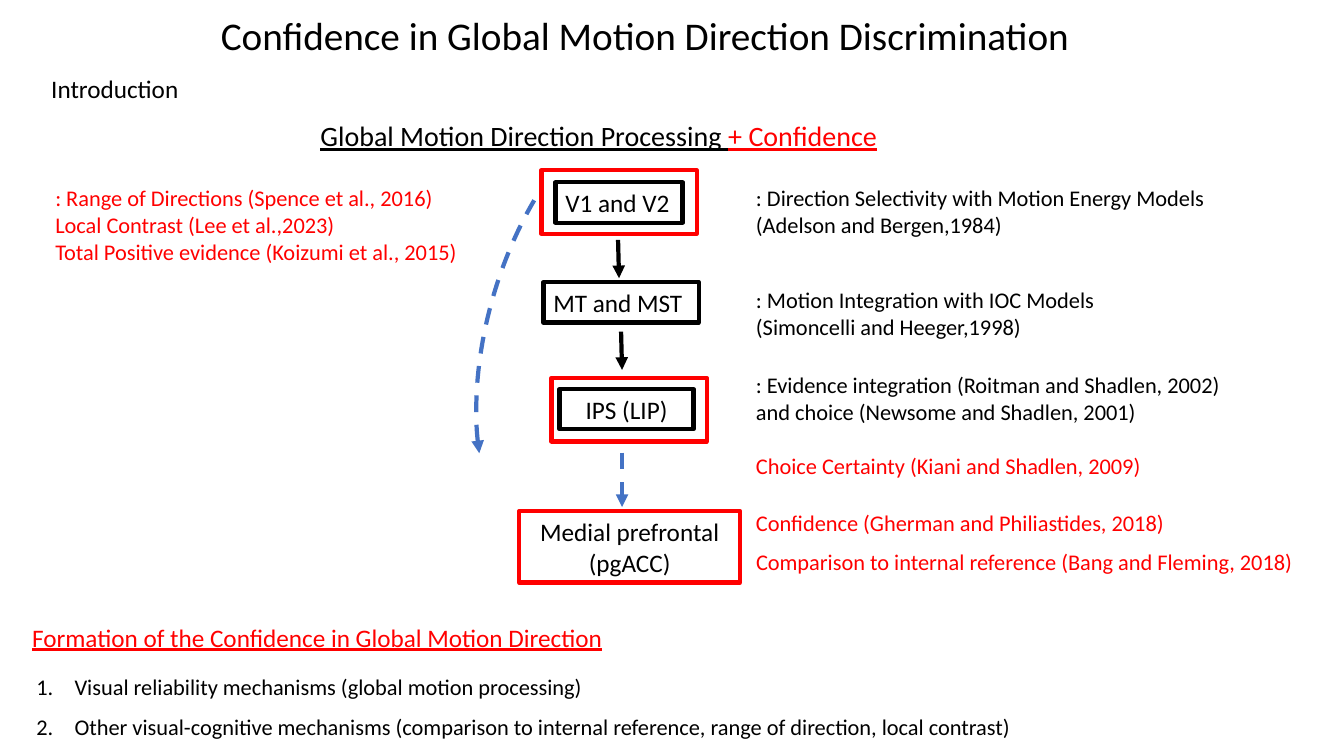
from lxml import etree
from pptx import Presentation
from pptx.dml.color import RGBColor
from pptx.enum.dml import MSO_LINE_DASH_STYLE as DASH
from pptx.enum.shapes import MSO_CONNECTOR as CONNECTOR, MSO_SHAPE as SHAPE
from pptx.enum.text import MSO_ANCHOR as ANCHOR, MSO_AUTO_SIZE as AUTO_SIZE, PP_ALIGN as ALIGN
from pptx.oxml.ns import qn
from pptx.util import Inches, Pt

BLACK, RED, BLUE = "000000", "FF0000", "4472C4"


def color(value):
    return RGBColor.from_string(value)


class FlowSlide:
    font_name = "Calibri"
    line_width = Pt(3)

    def __init__(self, presentation):
        self.slide = presentation.slides.add_slide(presentation.slide_layouts[1])
        self.shapes = self.slide.shapes

    def place(self, shape, box):
        for name, value in zip(("left", "top", "width", "height"), box):
            setattr(shape, name, Inches(value))

    def fill_text(self, shape, paragraphs, size, align=ALIGN.LEFT, anchor=ANCHOR.TOP,
                  underline=None, numbered=False, **spacing):
        frame = shape.text_frame
        frame_format = {"word_wrap": True, "auto_size": AUTO_SIZE.NONE, "vertical_anchor": anchor}
        for name, value in frame_format.items():
            setattr(frame, name, value)
        for index, runs in enumerate(paragraphs):
            paragraph = frame.add_paragraph() if index else frame.paragraphs[0]
            if numbered:
                self.number(paragraph)
            paragraph_format = {"alignment": align, "space_before": Pt(0), **spacing}
            for name, value in paragraph_format.items():
                setattr(paragraph, name, value)
            for text, run_color in runs:
                run = paragraph.add_run()
                run.text = text
                run_format = {"name": self.font_name, "size": Pt(size), "underline": underline}
                for name, value in run_format.items():
                    setattr(run.font, name, value)
                run.font.color.rgb = color(run_color)
        return frame

    def number(self, paragraph):
        properties = paragraph._p.get_or_add_pPr()
        properties.set("marL", str(Inches(0.38)))
        properties.set("indent", str(Inches(-0.38)))
        etree.SubElement(properties, qn("a:buFont"), typeface="+mj-lt")
        etree.SubElement(properties, qn("a:buAutoNum"), type="arabicPeriod")

    def placeholder(self, index, box, lines, size, **style):
        shape = self.slide.placeholders[index]
        self.place(shape, box)
        self.fill_text(shape, [[(line, BLACK)] for line in lines], size, **style)

    def text(self, box, paragraphs, size=16, **style):
        shape = self.shapes.add_textbox(*map(Inches, box))
        return self.fill_text(shape, paragraphs, size, **style)

    def outline(self, line, line_color, dashed=False):
        line.color.rgb = color(line_color)
        line.width = self.line_width
        if dashed:
            line.dash_style = DASH.DASH

    def shape(self, kind, box, line_color, dashed=False):
        shape = self.shapes.add_shape(kind, *map(Inches, box))
        shape.shadow.inherit = False
        shape.fill.background()
        self.outline(shape.line, line_color, dashed)
        return shape

    def frame(self, box, line_color, text=None, align=ALIGN.CENTER):
        shape = self.shape(SHAPE.RECTANGLE, box, line_color)
        if text:
            self.fill_text(shape, [[(text, BLACK)]], 18, align, ANCHOR.MIDDLE)

    def arrowhead(self, line, end):
        etree.SubElement(line._get_or_add_ln(), qn(end), type="triangle")

    def arrow(self, start, end, line_color, dashed=False):
        connector = self.shapes.add_connector(CONNECTOR.STRAIGHT, *map(Inches, start + end))
        self.outline(connector.line, line_color, dashed)
        self.arrowhead(connector.line, "a:tailEnd")
        etree.SubElement(connector._element.spPr, qn("a:effectLst"))

    def arc(self, box, rotation, angles, line_color):
        shape = self.shape(SHAPE.ARC, box, line_color, dashed=True)
        shape.rotation = rotation
        for index, angle in enumerate(angles):
            shape.adjustments[index] = angle
        self.arrowhead(shape.line, "a:headEnd")


def main():
    presentation = Presentation()
    presentation.slide_width, presentation.slide_height = Inches(13.33), Inches(7.5)
    flow = FlowSlide(presentation)

    flow.placeholder(0, (2.09, 0.06, 8.71, 0.57),
                     ["Confidence in Global Motion Direction Discrimination"], 28)
    flow.placeholder(1, (0.26, 6.49, 11.94, 0.87), [
        "Visual reliability mechanisms (global motion processing)",
        "Other visual-cognitive mechanisms (comparison to internal reference, "
        "range of direction, local contrast)",
    ], 16, numbered=True, line_spacing=1.5)

    flow.text((0.41, 0.68, 2.96, 0.4), [[("Introduction", BLACK)]], 18)
    flow.text((3.08, 1.13, 6.87, 0.44),
              [[("Global Motion Direction Processing ", BLACK), ("+ Confidence", RED)]],
              20, underline=True)
    flow.text((0.22, 6.12, 6.67, 0.4),
              [[("Formation of the Confidence in Global Motion Direction", RED)]],
              18, underline=True)

    flow.frame((5.51, 1.81, 1.26, 0.4), BLACK, "V1 and V2", ALIGN.LEFT)
    flow.frame((5.39, 2.8, 1.54, 0.4), BLACK, "MT and MST", ALIGN.LEFT)
    flow.frame((5.55, 3.86, 1.33, 0.4), BLACK, "IPS (LIP)")
    flow.frame((5.15, 5.07, 2.19, 0.71), RED, "Medial prefrontal (pgACC)")
    for left, top in ((5.37, 1.69), (5.47, 3.75)):
        flow.frame((left, top, 1.54, 0.63), RED)

    flow.arrow((6.13, 2.38), (6.14, 2.76), BLACK)
    flow.arrow((6.16, 3.29), (6.17, 3.67), BLACK)
    flow.arrow((6.17, 4.49), (6.17, 5.03), BLUE, dashed=True)
    flow.arc((4.85, 0.88, 2.55, 4.77), 196.8, (180.77, 24.17), BLUE)

    findings = [
        (1.78, 4.7, 0.64, BLACK,
         ": Direction Selectivity with Motion Energy Models (Adelson and Bergen,1984)"),
        (2.79, 3.66, 0.64, BLACK,
         ": Motion Integration with IOC Models (Simoncelli and Heeger,1998)"),
        (5, 5.9, 0.37, RED, "Confidence (Gherman and Philiastides, 2018)"),
        (5.39, 5.81, 0.37, RED, "Comparison to internal reference (Bang and Fleming, 2018)"),
    ]
    for top, width, height, finding_color, finding in findings:
        flow.text((7.4, top, width, height), [[(finding, finding_color)]])
    choice = flow.text((7.4, 3.63, 5, 1.18), [
        [(": Evidence integration (Roitman and Shadlen, 2002) "
          "and choice (Newsome and Shadlen, 2001)", BLACK)],
        [("Choice Certainty (Kiani and Shadlen, 2009)", RED)],
    ])
    choice.paragraphs[1].space_before = Pt(19.5)
    flow.text((0.45, 1.78, 4.64, 0.91), [[(line, RED)] for line in (
        ": Range of Directions (Spence et al., 2016)",
        "Local Contrast (Lee et al.,2023)",
        "Total Positive evidence (Koizumi et al., 2015)",
    )])

    presentation.save("out.pptx")


if __name__ == "__main__":
    main()
